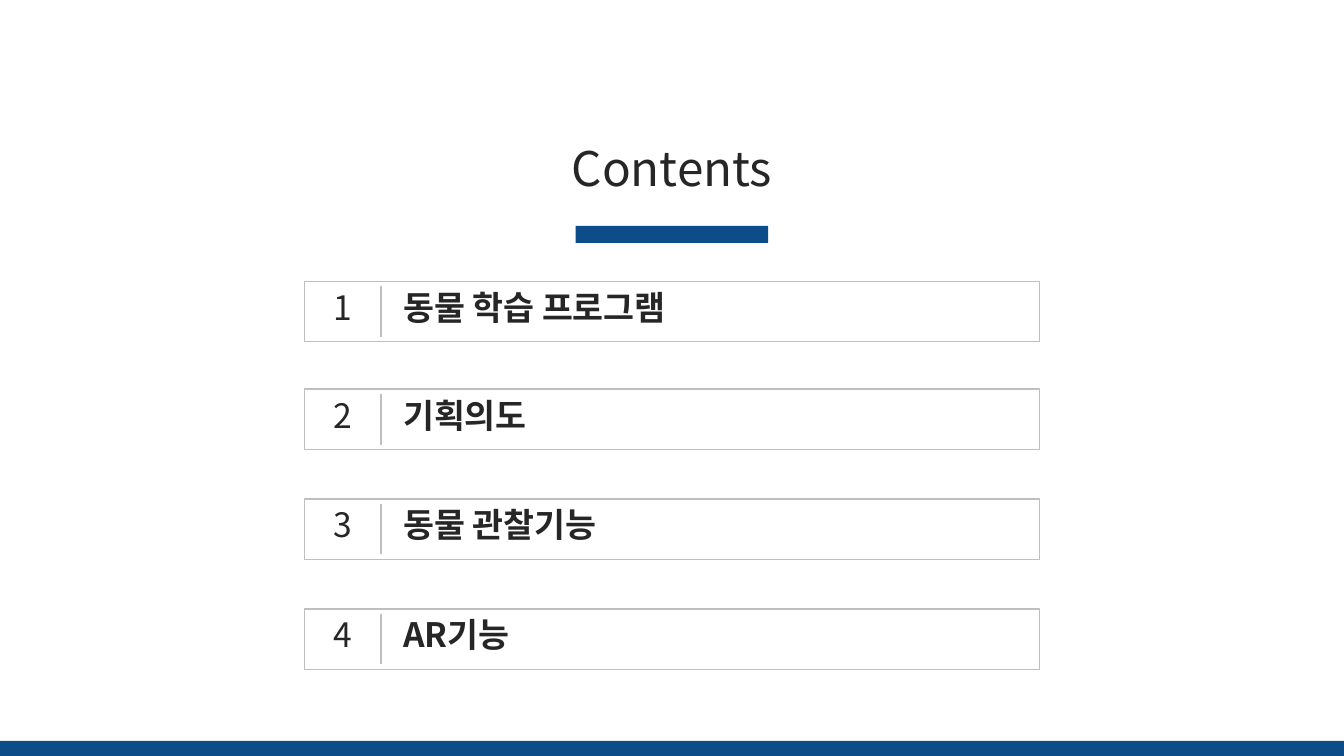
from lxml import etree
from pptx import Presentation
from pptx import util as u
from pptx.dml.color import RGBColor
from pptx.enum import shapes, text
from pptx.oxml.ns import qn


def color(value):
    return RGBColor.from_string(value)


class ContentsSlide:
    FONT = "Noto Sans CJK KR"
    INK = "262626"
    ACCENT = "0C4C89"
    RULE = "BFBFBF"

    def __init__(self, slide):
        self.slide = slide

    def rectangle(self, parent, left, top, width, height, fill=None, line=None):
        shape = parent.shapes.add_shape(
            shapes.MSO_SHAPE.RECTANGLE,
            u.Inches(left), u.Inches(top), u.Inches(width), u.Inches(height),
        )
        shape.shadow.inherit = False
        if fill:
            shape.fill.solid()
            shape.fill.fore_color.rgb = color(fill)
        else:
            shape.fill.background()
        if line:
            shape.line.color.rgb = color(line)
            shape.line.width = u.Pt(1)
        else:
            shape.line.fill.background()

    def divider(self, parent, left, top, height):
        connector = parent.shapes.add_connector(
            shapes.MSO_CONNECTOR.STRAIGHT,
            u.Inches(left), u.Inches(top), u.Inches(left), u.Inches(top + height),
        )
        connector.line.color.rgb = color(self.RULE)
        connector.line.width = u.Pt(1)
        etree.SubElement(connector._element.spPr, qn("a:effectLst"))

    def label(self, parent, words, left, top, width, height, size,
              align=text.PP_ALIGN.CENTER, bold=False):
        box = parent.shapes.add_textbox(
            u.Inches(left), u.Inches(top), u.Inches(width), u.Inches(height)
        )
        frame = box.text_frame
        frame.word_wrap = True
        frame.auto_size = text.MSO_AUTO_SIZE.SHAPE_TO_FIT_TEXT
        paragraph = frame.paragraphs[0]
        paragraph.text = words
        paragraph.alignment = align
        paragraph.line_spacing = 0.9
        font = paragraph.font
        font.name = self.FONT
        font.size = u.Pt(size)
        font.bold = bold
        font.color.rgb = color(self.INK)
        for run in paragraph.runs:
            east_asian = etree.SubElement(run._r.get_or_add_rPr(), qn("a:ea"))
            east_asian.set("typeface", self.FONT)

    def entry(self, number, title, top):
        group = self.slide.shapes.add_group_shape()
        inner = top + 0.05
        self.rectangle(group, 3.02, top, 7.29, 0.6, line=self.RULE)
        self.divider(group, 3.78, inner, 0.5)
        self.label(group, str(number), 3.2, inner, 0.4, 0.5, 24)
        self.label(group, title, 3.9, inner, 6.12, 0.5, 24,
                   text.PP_ALIGN.LEFT, bold=True)


def main():
    presentation = Presentation()
    presentation.slide_width = u.Inches(13.33)
    presentation.slide_height = u.Inches(7.5)
    slide = presentation.slides.add_slide(presentation.slide_layouts[6])
    contents = ContentsSlide(slide)

    contents.rectangle(slide, 5.71, 2.24, 1.91, 0.17, fill=contents.ACCENT)
    contents.label(slide, "Contents", 4.34, 1.39, 4.65, 0.67, 34)
    contents.rectangle(slide, 0, 7.35, 13.33, 0.15, fill=contents.ACCENT)

    entries = [
        ("동물 학습 프로그램", 2.79),
        ("기획의도", 3.86),
        ("동물 관찰기능", 4.95),
        ("AR기능", 6.04),
    ]
    for number, (title, top) in enumerate(entries, start=1):
        contents.entry(number, title, top)

    presentation.save("out.pptx")


if __name__ == "__main__":
    main()
